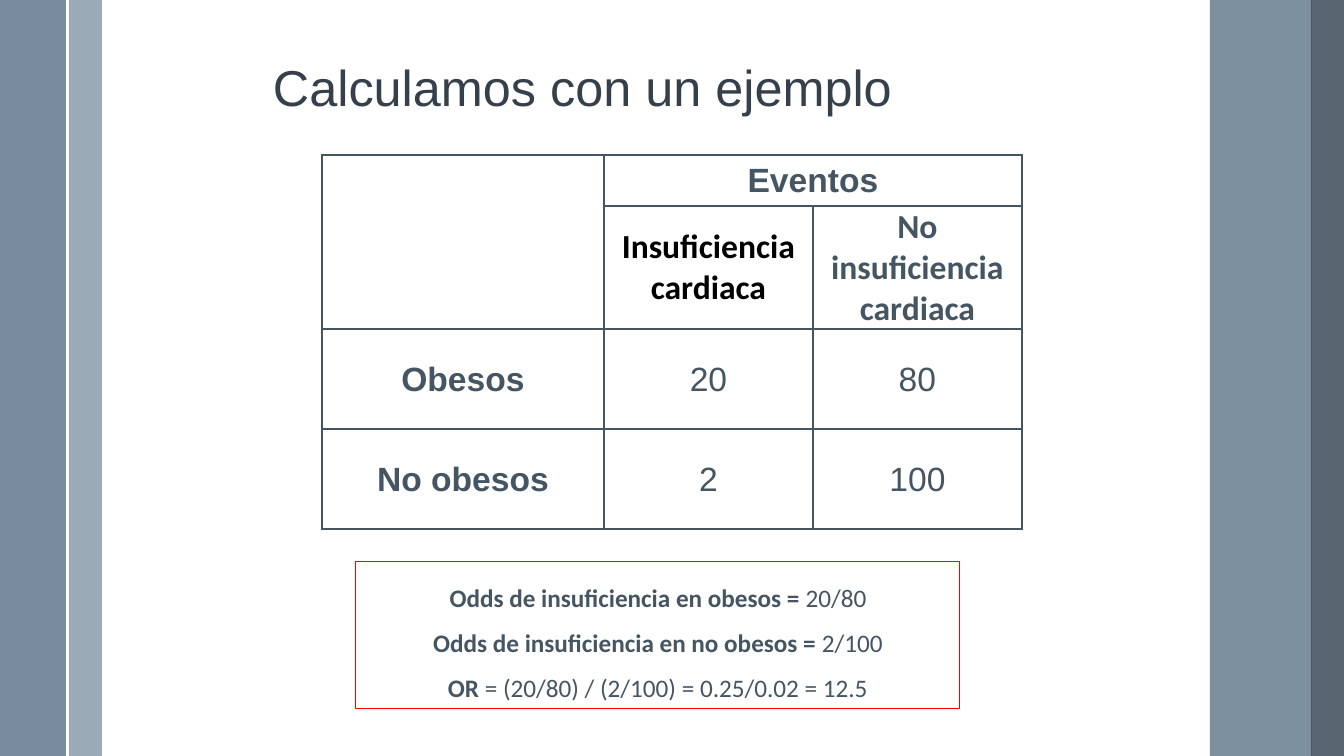
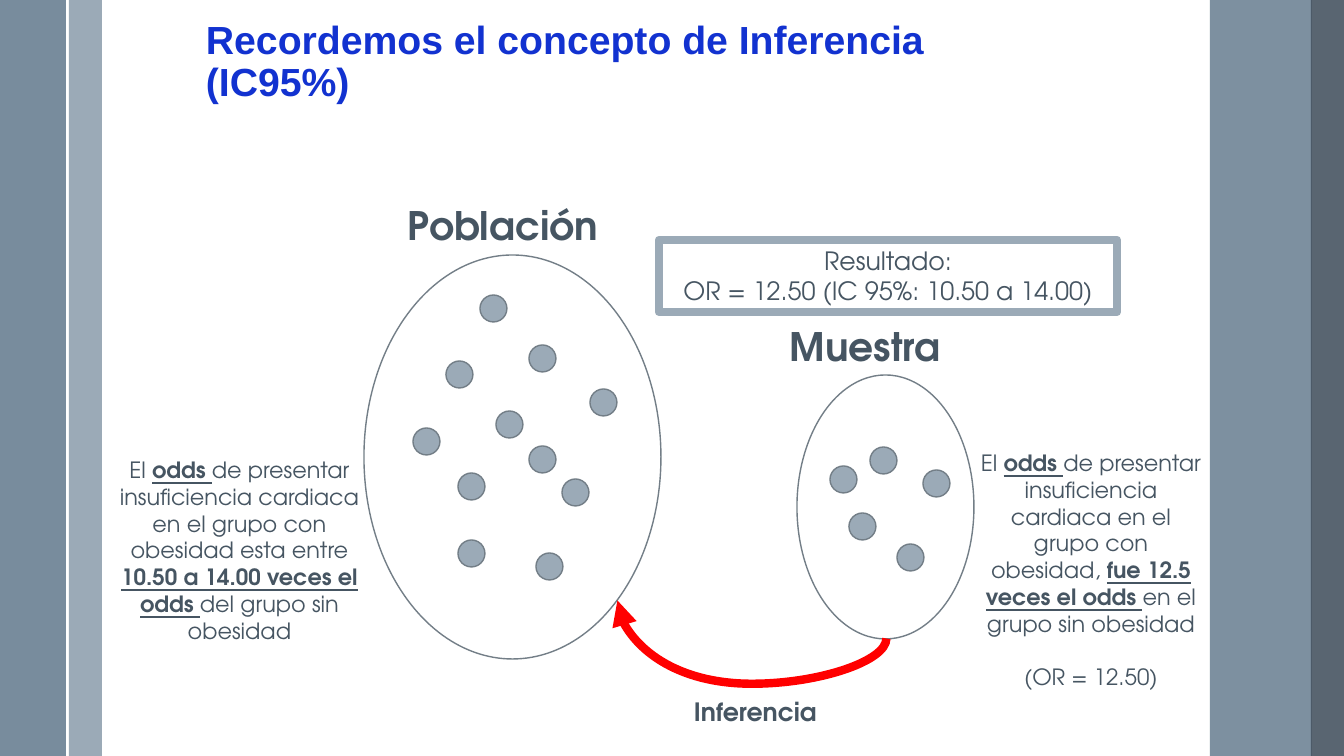
import lxml.etree
import pptx
import pptx.dml.color
import pptx.enum.shapes
import pptx.enum.text
import pptx.oxml.ns
import pptx.util

EMU_PER_PX = 914400 / 100.8
WIDTH, HEIGHT = 1344, 756
COLORS = {
    "white": "FFFFFF",
    "black": "000000",
    "text": "465562",
    "title": "35404A",
    "blue": "1232D0",
    "red": "FF0000",
    "pale": "9BAAB7",
    "slate": "6A8093",
    "dark": "475562",
    "outline": "737E87",
}
BODY, TABLE, GEOMETRIC = "Arial", "Calibri", "TeX Gyre Adventor"
SHAPES = pptx.enum.shapes.MSO_SHAPE
CONNECTORS = pptx.enum.shapes.MSO_CONNECTOR
ANCHORS = pptx.enum.text.MSO_ANCHOR
ALIGNS = pptx.enum.text.PP_ALIGN


def px(value):
    return pptx.util.Emu(round(value * EMU_PER_PX))


def rgb(name):
    return pptx.dml.color.RGBColor.from_string(COLORS[name])


def add_xml(parent, tag, **attributes):
    return lxml.etree.SubElement(parent, pptx.oxml.ns.qn(tag), attributes)


class Deck:
    def __init__(self):
        self.presentation = pptx.Presentation()
        self.presentation.slide_width = px(WIDTH)
        self.presentation.slide_height = px(HEIGHT)
        self.slide = None

    def new_slide(self):
        self.slide = self.presentation.slides.add_slide(self.presentation.slide_layouts[6])
        self.band(69, 33, "pale")
        self.band(0, 67, "slate", 90)
        self.connector(CONNECTORS.STRAIGHT, (67, 0), (67, HEIGHT), "white", 1.5)
        self.band(1210, 102, "slate", 87)
        self.band(1311, 33, "dark", 90)

    def band(self, left, width, color, opacity=100):
        shape = self.shape(SHAPES.RECTANGLE, (left, 0, width, HEIGHT), fill=color)
        if opacity < 100:
            color_element = shape._element.spPr.find(".//" + pptx.oxml.ns.qn("a:srgbClr"))
            add_xml(color_element, "a:alpha", val=str(opacity * 1000))

    def shape(self, kind, box, fill=None, line=None, line_width=1):
        shape = self.slide.shapes.add_shape(kind, *map(px, box))
        shape.shadow.inherit = False
        if fill:
            shape.fill.solid()
            shape.fill.fore_color.rgb = rgb(fill)
        else:
            shape.fill.background()
        if line:
            shape.line.color.rgb = rgb(line)
            shape.line.width = pptx.util.Pt(line_width)
        else:
            shape.line.fill.background()
        return shape

    def connector(self, kind, start, end, color, width):
        connector = self.slide.shapes.add_connector(kind, *map(px, start + end))
        connector.line.color.rgb = rgb(color)
        connector.line.width = pptx.util.Pt(width)
        add_xml(connector._element.spPr, "a:effectLst")
        return connector

    def curved_arrow(self, start, end, bend, color, width):
        connector = self.connector(CONNECTORS.CURVE, start, end, color, width)
        properties = connector._element.spPr
        properties.xfrm.set("rot", "5400000")
        geometry = properties.find(pptx.oxml.ns.qn("a:prstGeom"))
        adjustments = geometry.find(pptx.oxml.ns.qn("a:avLst"))
        if adjustments is None:
            adjustments = add_xml(geometry, "a:avLst")
        add_xml(adjustments, "a:gd", name="adj1", fmla=f"val {bend}")
        add_xml(properties.find(pptx.oxml.ns.qn("a:ln")), "a:tailEnd", type="triangle")

    def style_run(self, run, size, font, color, marks):
        run.font.size = pptx.util.Pt(size)
        run.font.name = font
        run.font.color.rgb = rgb(color)
        run.font.bold = "b" in marks
        run.font.underline = "u" in marks

    def fill_text(self, frame, paragraphs, size, font, color="text", align=ALIGNS.CENTER,
                  anchor=ANCHORS.TOP, spacing=None, gap=0, wrap=True):
        frame.word_wrap = wrap
        frame.vertical_anchor = anchor
        for index, runs in enumerate(paragraphs):
            paragraph = frame.add_paragraph() if index else frame.paragraphs[0]
            paragraph.alignment = align
            if spacing:
                paragraph.line_spacing = spacing
            if index and gap:
                paragraph.space_before = pptx.util.Pt(gap)
            for text, marks in runs:
                run = paragraph.add_run()
                run.text = text
                self.style_run(run, size, font, color, marks)

    def text(self, box, paragraphs, size, font=GEOMETRIC, **options):
        frame = self.slide.shapes.add_textbox(*map(px, box)).text_frame
        self.fill_text(frame, paragraphs, size, font, **options)

    def title(self, box, text, size, color, anchor, marks=""):
        self.text(box, [[(text, marks)]], size, BODY, color=color, anchor=anchor,
                  align=ALIGNS.LEFT, spacing=0.9)

    def label(self, box, text, size):
        self.text(box, [[(text, "b")]], size, align=ALIGNS.LEFT, wrap=False)

    def dots(self, corners):
        for left, top in corners:
            self.shape(SHAPES.OVAL, (left, top, 27, 27), "pale", "outline")

    def table(self, left, top, columns, rows, merges, contents):
        box = (left, top, sum(columns), sum(rows))
        table_shape = self.slide.shapes.add_table(len(rows), len(columns), *map(px, box))
        table = table_shape.table
        table.first_row = table.horz_banding = False
        for column, width in zip(table.columns, columns):
            column.width = px(width)
        for row, height in zip(table.rows, rows):
            row.height = px(height)
        for first, last in merges:
            table.cell(*first).merge(table.cell(*last))
        for cell in table.iter_cells():
            self.cell_frame(cell)
        for (row, column), (text, font, color, marks) in contents.items():
            cell = table.cell(row, column)
            cell.text_frame.text = text
            paragraph = cell.text_frame.paragraphs[0]
            paragraph.alignment = ALIGNS.CENTER
            self.style_run(paragraph.runs[0], 24, font, color, marks)

    def cell_frame(self, cell):
        cell.margin_left = cell.margin_right = cell.margin_top = px(1)
        cell.margin_bottom = 0
        cell.vertical_anchor = ANCHORS.MIDDLE
        properties = cell._tc.get_or_add_tcPr()
        for side in ("L", "R", "T", "B"):
            border = add_xml(properties, f"a:ln{side}", w="12700")
            fill = add_xml(border, "a:solidFill")
            add_xml(fill, "a:srgbClr", val=COLORS["text"])
        cell.fill.solid()
        cell.fill.fore_color.rgb = rgb("white")


def build_example(deck):
    deck.new_slide()
    deck.title((263, 67, 825, 46), "Calculamos con un ejemplo", 36, "title", ANCHORS.MIDDLE)
    deck.table(
        322, 155, (282, 209, 209), (51, 123, 100, 100),
        [((0, 0), (1, 0)), ((0, 1), (0, 2))],
        {
            (0, 1): ("Eventos", BODY, "text", "b"),
            (1, 1): ("Insuficiencia cardiaca", TABLE, "black", "b"),
            (1, 2): ("No insuficiencia cardiaca", TABLE, "text", "b"),
            (2, 0): ("Obesos", BODY, "text", "b"),
            (2, 1): ("20", BODY, "text", ""),
            (2, 2): ("80", BODY, "text", ""),
            (3, 0): ("No obesos", BODY, "text", "b"),
            (3, 1): ("2", BODY, "text", ""),
            (3, 2): ("100", BODY, "text", ""),
        },
    )
    odds_box = deck.shape(SHAPES.RECTANGLE, (356, 562, 604, 147), line="red", line_width=0.75)
    deck.fill_text(odds_box.text_frame, [
        [("Odds de insuficiencia en obesos = ", "b"), ("20/80", "")],
        [("Odds de insuficiencia en no obesos = ", "b"), ("2/100", "")],
        [("OR", "b"), (" = (20/80) / (2/100) = 0.25/0.02 = 12.5", "")],
    ], 18, TABLE, spacing=1.5)


def build_inference(deck):
    deck.new_slide()
    deck.title((196, 10, 884, 100), "Recordemos el concepto de Inferencia (IC95%)", 28,
               "blue", ANCHORS.BOTTOM, "b")
    deck.shape(SHAPES.OVAL, (364, 255, 297, 404), line="outline")
    deck.shape(SHAPES.OVAL, (797, 375, 177, 264), line="outline")
    deck.curved_arrow((771, 485), (733, 754), -119100, "red", 6)
    deck.label((398, 196, 214, 57), "Población", 28)
    deck.label((780, 317, 173, 57), "Muestra", 28)
    deck.label((684, 691, 145, 40), "Inferencia", 18)
    population = [(446, 361), (590, 389), (413, 428), (496, 411), (529, 345), (529, 446),
                  (458, 473), (562, 479), (458, 540), (536, 553), (480, 295)]
    sample = [(870, 447), (830, 466), (923, 470), (849, 513), (897, 544)]
    deck.dots(population + sample)
    deck.text((969, 444, 244, 254), [
        [("El ", ""), ("odds ", "bu"),
         ("de presentar insuficiencia cardiaca en el grupo con obesidad, ", ""),
         ("fue 12.5 veces el odds ", "bu"), ("en el grupo sin obesidad", "")],
        [("(OR = 12.50)", "")],
    ], 16, gap=19)
    deck.text((97, 451, 285, 201), [
        [("El ", ""), ("odds ", "bu"),
         ("de presentar insuficiencia cardiaca en el grupo con obesidad esta entre ", ""),
         ("10.50 a 14.00 veces el odds ", "bu"), ("del grupo sin obesidad", "")],
    ], 16)
    result_box = deck.shape(SHAPES.RECTANGLE, (659, 240, 458, 72), "white", "pale", 6)
    deck.fill_text(result_box.text_frame, [
        [("Resultado:", "")],
        [("OR = 12.50 (IC 95%: 10.50 a 14.00)", "")],
    ], 18, GEOMETRIC)


def main():
    deck = Deck()
    build_example(deck)
    build_inference(deck)
    deck.presentation.save("out.pptx")


if __name__ == "__main__":
    main()
